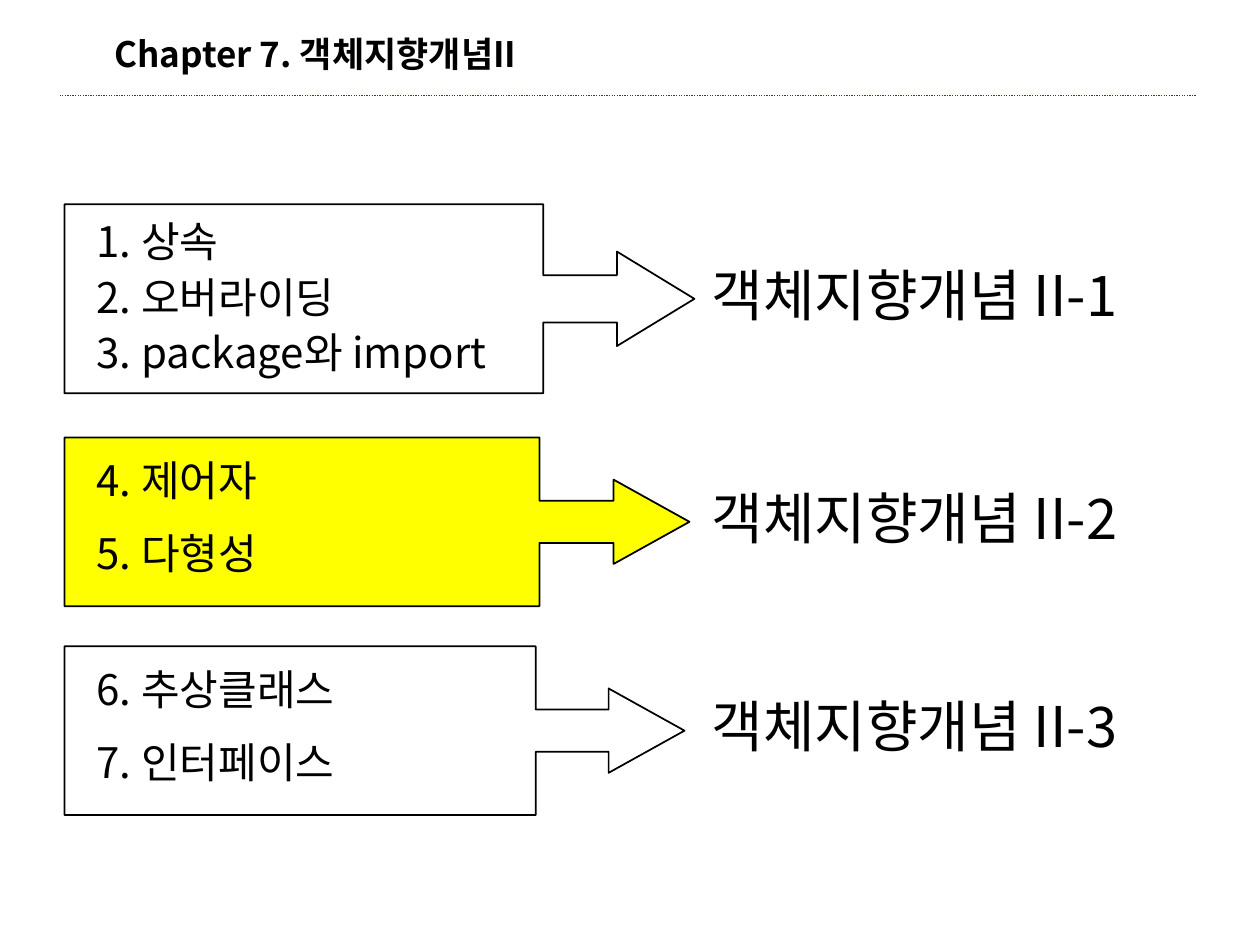
from dataclasses import dataclass

from lxml import etree
from pptx import Presentation
from pptx.dml.color import RGBColor
from pptx.enum import dml, shapes, text
from pptx.oxml.ns import qn
from pptx.slide import Slide
from pptx.util import Cm, Pt


@dataclass(frozen=True)
class Theme:
    font: str = "Noto Sans CJK KR"
    ink: RGBColor = RGBColor(0, 0, 0)
    rule: RGBColor = RGBColor(0x2F, 0x2F, 0x98)
    highlight: RGBColor = RGBColor(0xFF, 0xFF, 0)
    title_size: int = 20
    topic_size: int = 24
    part_size: int = 32


@dataclass(frozen=True)
class Part:
    """One callout with its topics and the part it points to; lengths in cm."""
    name: str
    topics: tuple[str, ...]
    top: float
    width: float
    height: float
    head: float
    first_topic: float
    pitch: float
    name_top: float
    current: bool = False


THEME = Theme()
CALLOUT_LEFT, TOPIC_LEFT, NAME_LEFT = 1.3, 1.7, 14.1
PARTS = (
    Part("객체지향개념 II-1", ("1. 상속", "2. 오버라이딩", "3. package와 import"),
         4.12, 12.7, 3.81, 0.41, 4.22, 1.12, 5.13),
    Part("객체지향개념 II-2", ("4. 제어자", "5. 다형성"),
         8.82, 12.6, 3.4, 0.45, 9.04, 1.47, 9.63, current=True),
    Part("객체지향개념 II-3", ("6. 추상클래스", "7. 인터페이스"),
         13.03, 12.5, 3.4, 0.45, 13.26, 1.47, 13.82),
)


def add_text(s: Slide, words: str, left: float, top: float, width: float,
             height: float, size: int, bold: bool = False,
             align: text.PP_ALIGN = text.PP_ALIGN.LEFT) -> None:
    tf = s.shapes.add_textbox(Cm(left), Cm(top), Cm(width), Cm(height)).text_frame
    tf.word_wrap = True
    tf.auto_size = text.MSO_AUTO_SIZE.SHAPE_TO_FIT_TEXT
    p = tf.paragraphs[0]
    p.alignment = align
    r = p.add_run()
    r.text = words
    r.font.name = THEME.font
    r.font.size = Pt(size)
    r.font.bold = bold
    r.font.color.rgb = THEME.ink
    etree.SubElement(r.font._element, qn("a:ea")).set("typeface", THEME.font)


def add_header(s: Slide, words: str) -> None:
    rule = s.shapes.add_connector(shapes.MSO_CONNECTOR.STRAIGHT,
                                  Cm(1.2), Cm(1.93), Cm(24.1), Cm(1.93))
    rule.line.color.rgb = THEME.rule
    rule.line.width = Pt(0.75)
    rule.line.dash_style = dml.MSO_LINE.ROUND_DOT
    etree.SubElement(rule._element.spPr, qn("a:effectLst"))
    add_text(s, words, 1.06, 0.53, 10.6, 1.12, THEME.title_size,
             bold=True, align=text.PP_ALIGN.CENTER)


def add_part(s: Slide, part: Part) -> None:
    sp = s.shapes.add_shape(shapes.MSO_SHAPE.RIGHT_ARROW_CALLOUT,
                            Cm(CALLOUT_LEFT), Cm(part.top),
                            Cm(part.width), Cm(part.height))
    for i, value in enumerate((0.25, 0.25, part.head, 0.76)):
        sp.adjustments[i] = value
    sp.shadow.inherit = False
    sp.line.color.rgb = THEME.ink
    sp.line.width = Pt(1)
    if part.current:
        sp.fill.solid()
        sp.fill.fore_color.rgb = THEME.highlight
    else:
        sp.fill.background()
    for i, topic in enumerate(part.topics):
        add_text(s, topic, TOPIC_LEFT, part.first_topic + i * part.pitch,
                 13.5, 1.27, THEME.topic_size)
    add_text(s, part.name, NAME_LEFT, part.name_top, 10.9, 1.63, THEME.part_size)


def main() -> None:
    prs = Presentation()
    prs.slide_width, prs.slide_height = Cm(25.4), Cm(19.05)
    s = prs.slides.add_slide(prs.slide_layouts[6])
    add_header(s, "Chapter 7. 객체지향개념II")
    for part in PARTS:
        add_part(s, part)
    prs.save("out.pptx")


if __name__ == "__main__":
    main()
